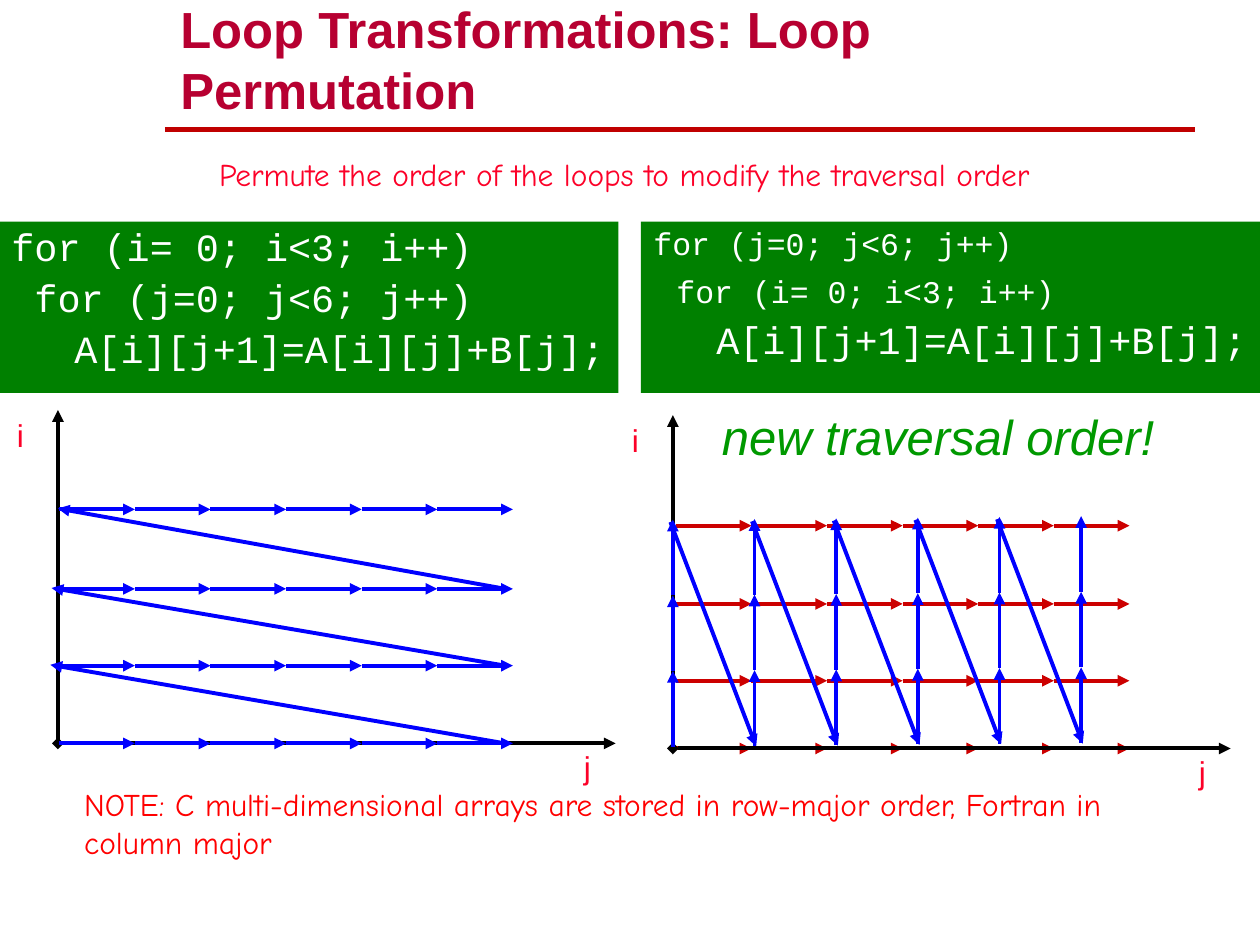
import pptx
import pptx.dml.color
import pptx.enum.shapes
import pptx.enum.text
import pptx.oxml
import pptx.oxml.ns
import pptx.util

Pt = pptx.util.Pt
ANCHOR = pptx.enum.text.MSO_ANCHOR

RED, BLUE, BLACK, LABEL = "CC0000", "0000FF", "000000", "FC0128"
COLUMNS = 6
STEP = 43.2  # length of one traversal arrow


def color(hex_code):
    return pptx.dml.color.RGBColor.from_string(hex_code)


def append_element(parent, tag, attributes=""):
    namespace = pptx.oxml.ns.nsdecls("a")
    parent.append(pptx.oxml.parse_xml(f"<a:{tag} {namespace} {attributes}/>"))


def write(paragraph, text, size=18, font="Arial", fill=LABEL, bold=False, italic=False):
    paragraph.alignment = pptx.enum.text.PP_ALIGN.LEFT
    run = paragraph.add_run()
    run.text = text
    run.font.size = Pt(size)
    run.font.name = font
    run.font.bold = bold
    run.font.italic = italic
    run.font.color.rgb = color(fill)


def add_label(slide, text, left, top, width, height, wrap=True, **text_format):
    label = slide.shapes.add_textbox(Pt(left), Pt(top), Pt(width), Pt(height))
    label.text_frame.word_wrap = wrap
    write(label.text_frame.paragraphs[0], text, **text_format)


def add_line(slide, start, end, stroke, width=2.25, head=None, tail=None):
    line = slide.shapes.add_connector(
        pptx.enum.shapes.MSO_CONNECTOR.STRAIGHT,
        Pt(start[0]), Pt(start[1]), Pt(end[0]), Pt(end[1]))
    line.line.color.rgb = color(stroke)
    line.line.width = Pt(width)
    properties = line._element.spPr
    outline = properties.find(pptx.oxml.ns.qn("a:ln"))
    for tag, kind in (("headEnd", head), ("tailEnd", tail)):
        if kind:
            append_element(outline, tag, f'type="{kind}"')
    append_element(properties, "effectLst")


def add_arrow(slide, start, end, stroke=BLUE):
    add_line(slide, start, end, stroke, tail="triangle")


def add_title(slide):
    title = slide.shapes.title
    title.left, title.top, title.width, title.height = Pt(95.8), Pt(23.8), Pt(576), Pt(48.2)
    frame = title.text_frame
    frame.auto_size = pptx.enum.text.MSO_AUTO_SIZE.NONE
    frame.word_wrap = True
    frame.vertical_anchor = ANCHOR.BOTTOM
    write(frame.paragraphs[0], "Loop Transformations: Loop Permutation",
          size=29, fill="B70031", bold=True)


def add_code(slide, left, code_lines):
    """Green box; each code line is (space before, margin, indent, [(text, size)])."""
    box = slide.shapes.add_shape(pptx.enum.shapes.MSO_SHAPE.RECTANGLE,
                                 Pt(left), Pt(126.7), Pt(354), Pt(97.9))
    box.shadow.inherit = False
    box.fill.solid()
    box.fill.fore_color.rgb = color("008000")
    box.line.fill.background()
    frame = box.text_frame
    frame.word_wrap = True
    frame.vertical_anchor = ANCHOR.TOP
    frame.margin_right = 0
    for index, (space, margin, indent, runs) in enumerate(code_lines):
        paragraph = frame.add_paragraph() if index else frame.paragraphs[0]
        properties = paragraph._p.get_or_add_pPr()
        properties.set("marL", str(int(Pt(margin))))
        properties.set("indent", str(int(Pt(indent))))
        paragraph.line_spacing = 0.9
        if index:
            paragraph.space_before = Pt(space)
        for text, size in runs:
            write(paragraph, text, size=size, font="Courier New", fill="FFFFFF")


def add_axes(slide, x, y):
    add_line(slide, (x, y), (x, y - 190.5), BLACK, tail="triangle")
    add_line(slide, (x, y), (x + 318.7, y), BLACK, head="diamond", tail="triangle")
    add_label(slide, "i", x - 30.5, y - 190.5, 27.4, 28.8)
    add_label(slide, "j", x + 293.5, y - 1, 27.4, 28.8)


def add_row(slide, x, y, stroke):
    for column in range(COLUMNS):
        start = x + column * STEP
        add_arrow(slide, (start, y), (start + STEP, y), stroke)


def add_row_traversal(slide):
    """Row by row, with a long way back to the start of the next row."""
    add_axes(slide, 33.1, 424.8)
    rows = [424.8, 380.4, 336.5, 291.1]
    return_ends = [28.8, 29.5, 33.1]
    for y, next_y, end in zip(rows, rows[1:], return_ends):
        add_arrow(slide, (288.7, y), (end, next_y - 0.5))
    for y in rows:
        add_row(slide, 33.9, y, BLUE)


def add_column_traversal(slide):
    """Column by column in blue, over the former rows in red."""
    add_label(slide, "new traversal order!", 405.4, 229, 261.4, 41, wrap=False,
              size=28, fill="009900", italic=True)
    for y in (427.7, 389, 345.1, 300.4):
        add_row(slide, 386.2, y, RED)
    add_axes(slide, 384.5, 427.7)
    for column in range(COLUMNS):
        x = 384.5 + 46.66 * column
        bottom = 426.6 - 0.4 * column
        for step in range(3):
            y = bottom - step * STEP
            add_arrow(slide, (x, y), (x, y - STEP))
        if column < COLUMNS - 1:
            top = bottom - 3 * STEP + 1.3
            add_arrow(slide, (x - 1.4, top), (x + 47.6, top + 128.2))


def main():
    presentation = pptx.Presentation()
    presentation.slide_width, presentation.slide_height = Pt(720), Pt(540)
    slide = presentation.slides.add_slide(presentation.slide_layouts[5])

    # Header
    add_line(slide, (94.3, 74.2), (682.6, 74.2), "C00000", width=3)
    add_title(slide)
    add_label(slide, "Permute the order of the loops to modify the traversal order",
              118.1, 85, 481.7, 28.8, wrap=False, font="Comic Neue")

    # Loops before and after the permutation
    statement = (5.5, 58.5, -22.5, [("A[i][j+1]=A[i][j]+B[j];", 22)])
    add_code(slide, 366.3, [
        (0, 27, -27, [("for (j=0; j<6; j++)", 18)]),
        (4.5, 27, -27, [(" ", 22), ("for (i= 0; i<3; i++)", 18)]),
        statement])
    add_code(slide, -0.5, [
        (0, 27, -27, [("for (i= 0; i<3; i++)", 22)]),
        (5.5, 27, -27, [(" for (j=0; j<6; j++)", 22)]),
        statement])

    # Traversal diagrams
    add_row_traversal(slide)
    add_column_traversal(slide)

    # Note
    add_label(slide, "NOTE: C multi-dimensional arrays are stored in row-major order, "
              "Fortran in column major", 41, 445, 631.4, 50.4,
              font="Comic Neue", fill="FF0000")

    presentation.save("out.pptx")


if __name__ == "__main__":
    main()
